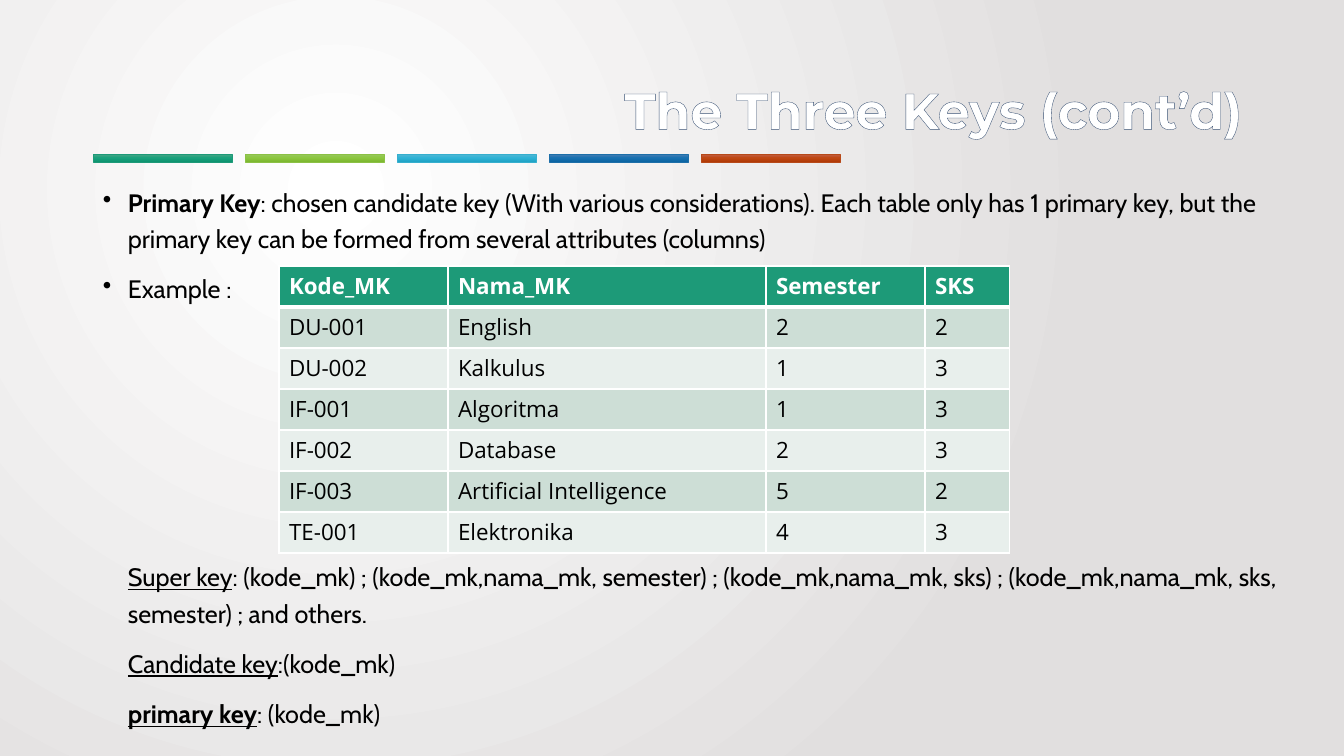
from dataclasses import dataclass

from lxml.etree import SubElement
from pptx import Presentation
from pptx.dml.color import RGBColor
from pptx.enum.shapes import MSO_SHAPE as Shape
from pptx.enum.text import MSO_ANCHOR as Anchor, PP_ALIGN as Align
from pptx.oxml import parse_xml
from pptx.oxml.ns import nsdecls, qn
from pptx.util import Emu, Pt

EMU_PER_PX = 12192000 / 1344
WHITE, BLACK, GREEN = "FFFFFF", "000000", "1D9A78"
BANDS = ("CDDED6", "E8EFEC")


@dataclass
class Bar:
    stops: tuple[str, str, str]
    line: str


@dataclass
class Item:
    lead: str
    rest: str
    bullet: bool = False
    bold: bool = False
    underline: bool = False
    before: int = 10


BARS = [
    Bar(("4EA788", "17A07B", "0F9470"), GREEN),
    Bar(("98C862", "8CC73F", "7DB831"), "8BC145"),
    Bar(("59B8D4", "2EB3D6", "21A4C6"), "36AFCE"),
    Bar(("4E80B5", "1670B0", "0D65A3"), "1D6FA9"),
    Bar(("C2634D", "BF4611", "B13B08"), "B74919"),
]

# The wide gap before "Super key" leaves room for the table
ITEMS = [
    Item("Primary Key", ": chosen candidate key (With various considerations). Each table only has "
         "1 primary key, but the primary key can be formed from several attributes (columns)",
         bullet=True, bold=True, before=0),
    Item("Example :", "", bullet=True),
    Item("Super key", ": (kode_mk) ; (kode_mk,nama_mk, semester) ; (kode_mk,nama_mk, sks) ; "
         "(kode_mk,nama_mk, sks, semester) ; and others.", underline=True, before=180),
    Item("Candidate key", ":(kode_mk)", underline=True),
    Item("primary key", ": (kode_mk)", bold=True, underline=True),
]

COLUMN_WIDTHS = (169, 318, 159, 85)
ROW_HEIGHT = 41
COURSES = [
    ("Kode_MK", "Nama_MK", "Semester", "SKS"),
    ("DU-001", "English", "2", "2"),
    ("DU-002", "Kalkulus", "1", "3"),
    ("IF-001", "Algoritma", "1", "3"),
    ("IF-002", "Database", "2", "3"),
    ("IF-003", "Artificial Intelligence", "5", "2"),
    ("TE-001", "Elektronika", "4", "3"),
]


def px(length: int) -> Emu:
    return Emu(round(length * EMU_PER_PX))


def color(value: str) -> RGBColor:
    return RGBColor.from_string(value)


def set_gradient(fill, owner, stops, direction: str) -> None:
    """Swap the owner's fill for evenly spaced gradient stops."""
    fill.background()
    step = 100000 // (len(stops) - 1)
    marks = "".join(f'<a:gs pos="{i * step}"><a:srgbClr val="{stop}"/></a:gs>'
                    for i, stop in enumerate(stops))
    gradient = parse_xml(f'<a:gradFill {nsdecls("a")} rotWithShape="1">'
                         f'<a:gsLst>{marks}</a:gsLst>{direction}</a:gradFill>')
    owner.replace(owner.find(qn("a:noFill")), gradient)


def line_element(tag: str, value: str, points: int):
    return parse_xml(f'<a:{tag} {nsdecls("a")} w="{Pt(points)}"><a:solidFill>'
                     f'<a:srgbClr val="{value}"/></a:solidFill></a:{tag}>')


def add_span(para, text: str, ink: str, **formats):
    span = para.add_run()
    span.text = text
    for name, value in formats.items():
        setattr(span.font, name, value)
    span.font.color.rgb = color(ink)
    return span


def add_text_frame(page, left: int, top: int, width: int, height: int):
    frame = page.shapes.add_textbox(px(left), px(top), px(width), px(height)).text_frame
    frame.word_wrap = True
    return frame


def add_background(page) -> None:
    fill = page.background.fill
    set_gradient(fill, page.element.find(".//" + qn("p:bgPr")), (WHITE, "E1DFDF"),
                 '<a:path path="circle"><a:fillToRect l="50000" t="50000" '
                 'r="100000" b="100000"/></a:path>')


def add_bars(page) -> None:
    for index, bar in enumerate(BARS):
        box = page.shapes.add_shape(Shape.RECTANGLE, px(93 + index * 152), px(154), px(139), px(8))
        box.shadow.inherit = False
        set_gradient(box.fill, box.element.spPr, bar.stops, '<a:lin ang="5400000" scaled="0"/>')
        box.line.color.rgb = color(bar.line)
        box.line.width = Pt(0.5)


def add_title(page) -> None:
    frame = add_text_frame(page, 93, 40, 1159, 146)
    frame.vertical_anchor = Anchor.MIDDLE
    para = frame.paragraphs[0]
    para.alignment = Align.RIGHT
    para.line_spacing = 0.9
    span = add_span(para, "The Three Keys (cont’d)", WHITE,
                    name="Montserrat", size=Pt(36), bold=True)
    span.font._element.insert(0, line_element("ln", "3A5274", 1))


def add_body(page) -> None:
    frame = add_text_frame(page, 93, 176, 1220, 569)
    for index, item in enumerate(ITEMS):
        para = frame.add_paragraph() if index else frame.paragraphs[0]
        para.line_spacing = 1.2
        para.space_before = Pt(item.before)
        properties = para._p.get_or_add_pPr()
        properties.set("marL", str(px(25)))
        if item.bullet:
            properties.set("indent", str(px(-25)))
            SubElement(properties, qn("a:buChar")).set("char", "•")
        base = {"name": "Cabin", "size": Pt(18)}
        add_span(para, item.lead, BLACK, bold=item.bold, underline=item.underline, **base)
        if item.rest:
            add_span(para, item.rest, BLACK, **base)


def add_course_table(page) -> None:
    table = page.shapes.add_table(len(COURSES), len(COLUMN_WIDTHS), px(279), px(266),
                                  px(sum(COLUMN_WIDTHS)), px(ROW_HEIGHT * len(COURSES))).table
    for column, width in zip(table.columns, COLUMN_WIDTHS):
        column.width = px(width)
    for r, course in enumerate(COURSES):
        table.rows[r].height = px(ROW_HEIGHT)
        header = r == 0
        borders = {"lnL": 1, "lnR": 1, "lnT": 3 if r == 1 else 1, "lnB": 3 if header else 1}
        for c, text in enumerate(course):
            cell = table.cell(r, c)
            cell.fill.solid()
            cell.fill.fore_color.rgb = color(GREEN if header else BANDS[(r - 1) % 2])
            add_span(cell.text_frame.paragraphs[0], text, WHITE if header else BLACK,
                     name="Open Sans", size=Pt(16), bold=header)
            properties = cell._tc.get_or_add_tcPr()
            for place, (side, points) in enumerate(borders.items()):
                properties.insert(place, line_element(side, WHITE, points))


def main() -> None:
    deck = Presentation()
    deck.slide_width, deck.slide_height = px(1344), px(756)
    page = deck.slides.add_slide(deck.slide_layouts[6])
    add_background(page)
    add_bars(page)
    add_title(page)
    add_body(page)
    add_course_table(page)
    deck.save("out.pptx")


if __name__ == "__main__":
    main()
